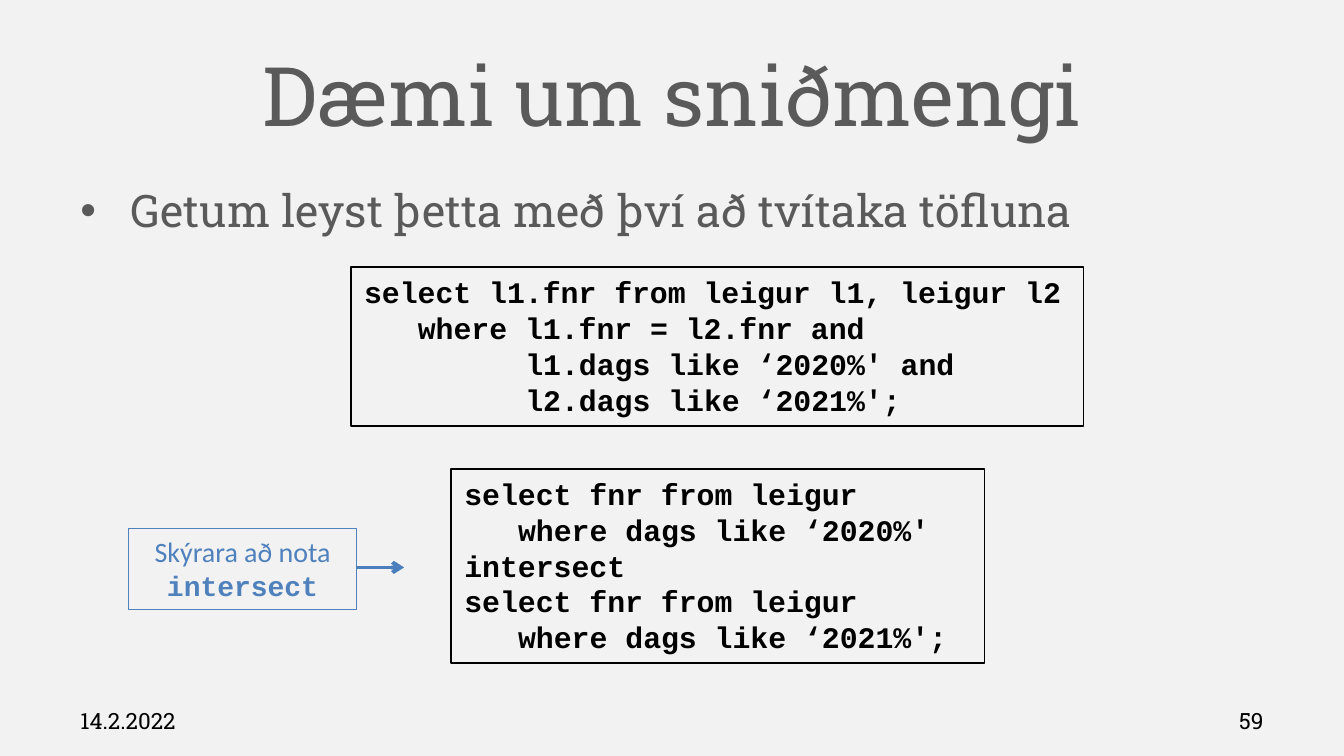
from lxml import etree
from pptx import Presentation
from pptx.dml.color import RGBColor
from pptx.enum.shapes import MSO_CONNECTOR, MSO_SHAPE
from pptx.enum.text import MSO_ANCHOR, PP_ALIGN
from pptx.oxml.ns import qn
from pptx.util import Pt

RECT = MSO_SHAPE.RECTANGLE
LINE = MSO_CONNECTOR.STRAIGHT
TOP, MID = MSO_ANCHOR.TOP, MSO_ANCHOR.MIDDLE
LEFT, MIDST, RIGHT = PP_ALIGN.LEFT, PP_ALIGN.CENTER, PP_ALIGN.RIGHT

COLORS = {"back": "F2F2F2", "gray": "5A5A5A", "black": "000000",
          "blue": "4F81BD", "arrow": "4B7EBC"}
SLAB, SANS, MONO = "Roboto Slab", "Calibri", "Courier New"
CODE = 16
STEP = CODE * 0.6


class Deck:
    def __init__(self, wide, high):
        self.prs = Presentation()
        self.prs.slide_width, self.prs.slide_height = Pt(wide), Pt(high)
        self.slide = self.prs.slides.add_slide(self.prs.slide_layouts[5])
        fill = self.slide.background.fill
        fill.solid()
        fill.fore_color.rgb = self.color("back")

    def color(self, name):
        return RGBColor.from_string(COLORS[name])

    def run(self, para, text, size, font, color, bold=False):
        run = para.add_run()
        run.text = text
        run.font.size, run.font.name, run.font.bold = Pt(size), font, bold
        run.font.color.rgb = self.color(color)

    def frame(self, shape, anchor, align):
        frame = shape.text_frame
        frame.word_wrap = True
        frame.vertical_anchor = anchor
        frame.paragraphs[0].alignment = align
        return frame

    def title(self, box, text):
        shape = self.slide.shapes.title
        shape.left, shape.top, shape.width, shape.height = map(Pt, box)
        para = self.frame(shape, MID, MIDST).paragraphs[0]
        self.run(para, text, 44, SLAB, "gray")

    def label(self, box, text, size, color, anchor=MID, align=LEFT):
        shape = self.slide.shapes.add_textbox(*map(Pt, box))
        para = self.frame(shape, anchor, align).paragraphs[0]
        self.run(para, text, size, SLAB, color)
        return para

    def bullet(self, box, text):
        para = self.label(box, text, 24, "gray", TOP)
        props = para._p.get_or_add_pPr()
        props.set("marL", str(Pt(27)))
        props.set("indent", str(Pt(-27)))
        etree.SubElement(props, qn("a:buFont")).set("typeface", "Arial")
        etree.SubElement(props, qn("a:buChar")).set("char", "•")

    def panel(self, box, color, width, align=LEFT):
        shape = self.slide.shapes.add_shape(RECT, *map(Pt, box))
        shape.shadow.inherit = False
        shape.fill.background()
        shape.line.color.rgb = self.color(color)
        shape.line.width = Pt(width)
        return self.frame(shape, TOP, align)

    def code(self, box, lines):
        frame = self.panel(box, "black", 1)
        for row, (depth, text) in enumerate(lines):
            para = frame.add_paragraph() if row else frame.paragraphs[0]
            para.alignment = LEFT
            para._p.get_or_add_pPr().set("marL", str(Pt(depth * STEP)))
            self.run(para, text, CODE, MONO, "black", True)

    def note(self, box, text, word):
        para = self.panel(box, "blue", 0.75, MIDST).paragraphs[0]
        self.run(para, text, 15, SANS, "blue")
        self.run(para, word, 15, MONO, "blue", True)

    def arrow(self, *ends):
        line = self.slide.shapes.add_connector(LINE, *map(Pt, ends))
        line.line.color.rgb = self.color("arrow")
        line.line.width = Pt(2)
        tail = etree.SubElement(line.line._get_or_add_ln(), qn("a:tailEnd"))
        tail.set("type", "arrow")
        etree.SubElement(line._element.spPr, qn("a:effectLst"))


def main():
    deck = Deck(720, 405)
    deck.title((36, 16.5, 648, 67.5), "Dæmi um sniðmengi")
    deck.bullet((36, 94.5, 648, 267), "Getum leyst þetta með því að tvítaka töfluna")
    deck.code((188, 143.2, 392.5, 85), [
        (0, "select l1.fnr from leigur l1, leigur l2"),
        (3, "where l1.fnr = l2.fnr and"),
        (9, "l1.dags like ‘2020%' and"),
        (9, "l2.dags like ‘2021%';"),
    ])
    deck.note((69, 283, 122, 43.7), "Skýrara að nota ", "intersect")
    deck.code((241.7, 251.3, 285.7, 104), [
        (0, "select fnr from leigur"),
        (3, "where dags like ‘2020%'"),
        (0, "intersect"),
        (0, "select fnr from leigur"),
        (3, "where dags like ‘2021%';"),
    ])
    deck.arrow(191, 304, 216.5, 304)
    deck.label((36, 375, 168, 21.6), "14.2.2022", 12, "black")
    deck.label((516, 375, 168, 21.6), "59", 12, "black", align=RIGHT)
    deck.prs.save("out.pptx")


if __name__ == "__main__":
    main()
